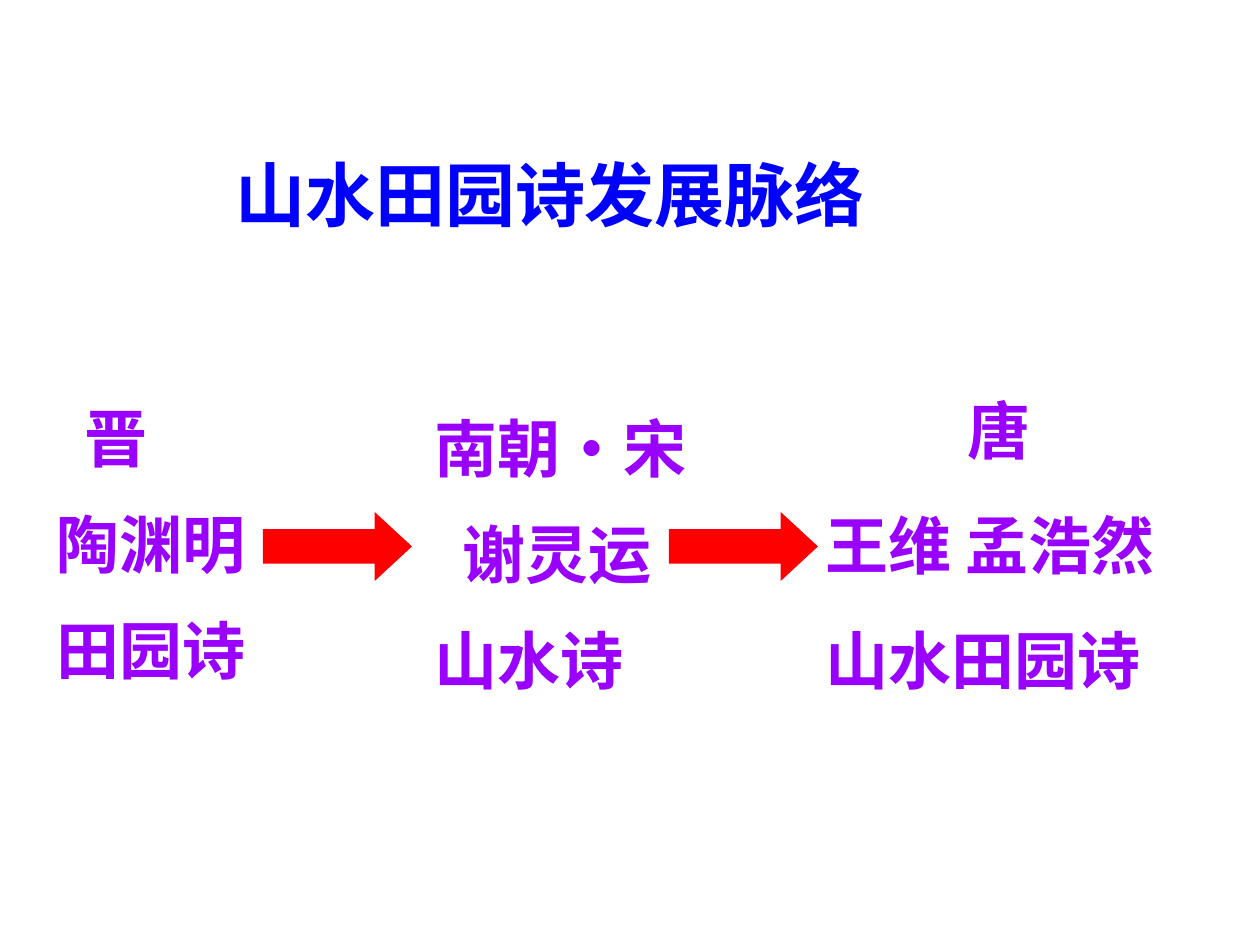
from pptx import Presentation
from pptx.dml.color import RGBColor
from pptx.enum.shapes import MSO_SHAPE
from pptx.oxml.ns import qn
from pptx.util import Emu, Pt
from lxml import etree

PX = 914400 // 126
BLUE = RGBColor(0x00, 0x00, 0xFF)
PURPLE = RGBColor(0x99, 0x00, 0xFF)
RED = RGBColor(0xFF, 0x00, 0x00)
CJK = "Noto Sans CJK SC"

TITLE = dict(size=Pt(40), bold=True, name="Times New Roman")
BODY = dict(size=Pt(36), bold=True, name=CJK)


class Deck:
    def __init__(self, width, height):
        self.prs = Presentation()
        self.prs.slide_width = Emu(width * PX)
        self.prs.slide_height = Emu(height * PX)
        self.s = self.prs.slides.add_slide(self.prs.slide_layouts[6])

    def text(self, box, lines, style, color, pitch, gap=0):
        """Write (text, indent) lines with a fixed line pitch and gap in points."""
        tf = self.s.shapes.add_textbox(*(Emu(v * PX) for v in box)).text_frame
        tf.word_wrap = True
        for i, (line, indent) in enumerate(lines):
            p = tf.paragraphs[0] if i == 0 else tf.add_paragraph()
            p.line_spacing = Pt(pitch)
            p.space_before = Pt(gap if i else 0)
            p._p.get_or_add_pPr().set("marL", str(indent * PX))
            r = p.add_run()
            r.text = line
            for key, value in style.items():
                setattr(r.font, key, value)
            r.font.color.rgb = color
            etree.SubElement(r._r.get_or_add_rPr(), qn("a:ea"), typeface=CJK)

    def arrow(self, box):
        sp = self.s.shapes.add_shape(MSO_SHAPE.RIGHT_ARROW, *(Emu(v * PX) for v in box))
        sp.adjustments[1] = 0.54
        sp.shadow.inherit = False
        sp.fill.solid()
        sp.fill.fore_color.rgb = RED
        sp.line.fill.background()


def main():
    deck = Deck(1260, 945)

    # Title
    deck.text((223, 145, 794, 97), [("山水田园诗发展脉络", 0)], TITLE, BLUE, 48)

    # Dynasty, poets and genre, one column per period
    deck.text((44, 363, 218, 436), [("晋", 28), ("陶渊明", 0), ("田园诗", 0)],
              BODY, PURPLE, 60.5)
    deck.text((422, 373, 307, 436), [("南朝·宋", 0), ("谢灵运", 28), ("山水诗", 0)],
              BODY, PURPLE, 60.5)
    deck.text((799, 386, 446, 394),
              [("唐", 156), ("王维 孟浩然", 14), ("山水田园诗", 14)],
              BODY, PURPLE, 43, gap=22.5)

    # Arrows between the periods
    for left in (263, 669):
        deck.arrow((left, 512, 149, 69))

    deck.prs.save("out.pptx")


if __name__ == "__main__":
    main()
